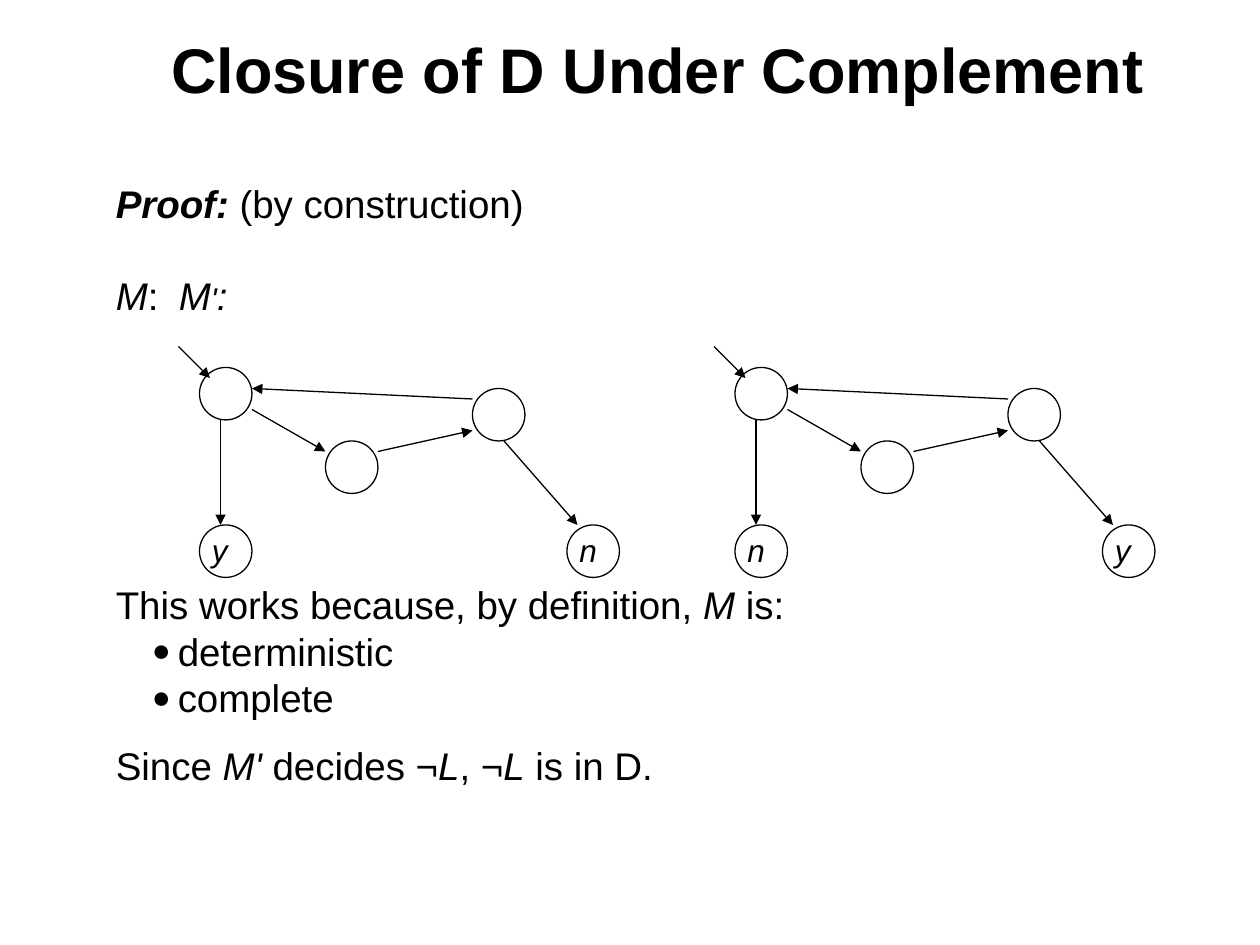
from pptx import Presentation
from pptx.dml.color import RGBColor
from pptx.enum.shapes import MSO_CONNECTOR as CONNECTOR, MSO_SHAPE as SHAPE
from pptx.enum.text import MSO_ANCHOR as ANCHOR, MSO_AUTO_SIZE as AUTO, PP_ALIGN as ALIGN
from pptx.oxml.ns import qn
from pptx.util import Cm, Pt
from lxml.etree import SubElement


def color(target, hex_value):
    target.rgb = RGBColor.from_string(hex_value)


def grid(steps):
    """The automata sit on a grid of twelve steps to the inch."""
    return Cm(steps * 2.54 / 12)


INK = "000000"
prs = Presentation()
prs.slide_width, prs.slide_height = Cm(25.4), Cm(19.05)
slide = prs.slides.add_slide(prs.slide_layouts[1])

# Title
title = slide.shapes.title
title.left, title.top, title.width, title.height = Cm(1.47), Cm(0.2), Cm(23.93), Cm(2.34)
heading = title.text_frame
heading.text = "Closure of D Under Complement"
heading.auto_size = AUTO.NONE
heading.vertical_anchor = ANCHOR.MIDDLE
heading.margin_right = Cm(0.61)
heading_line = heading.paragraphs[0]
heading_line.alignment = ALIGN.CENTER
heading_line.font.name, heading_line.font.size, heading_line.font.bold = "Arial", Pt(36), True
color(heading_line.font.color, INK)

# Proof: space before, bulleted, runs of (text, style)
proof_lines = [
    (0, False, [("Proof:", "bi"), (" (by construction)", "")]),
    (26, False, [("M", "i"), (":\t", ""), ("M", "i"), ("'", "is"), (":", "i")]),
    (150.5, False, [("This works because, by definition, ", ""), ("M", "i"), (" is:", "")]),
    (0, True, [("deterministic", "")]),
    (0, True, [("complete", "")]),
    (12, False, [("Since ", ""), ("M'", "i"), (" decides ¬", ""), ("L", "i"),
                 (", ¬", ""), ("L", "i"), (" is in D.", "")]),
]
body = slide.placeholders[1]
body.left, body.top, body.width, body.height = Cm(2.08), Cm(2.54), Cm(22.05), Cm(13.46)
proof = body.text_frame
proof.auto_size = AUTO.NONE
proof.margin_top = Cm(1.08)
for number, (space, bulleted, runs) in enumerate(proof_lines):
    line = proof.add_paragraph() if number else proof.paragraphs[0]
    line.space_before, line.line_spacing = Pt(space), Pt(26.5)
    line.font.name, line.font.size = "Arial", Pt(22)
    color(line.font.color, INK)
    for text, style in runs:
        run = line.add_run()
        run.text = text
        if "b" in style:
            run.font.bold = True
        if "i" in style:
            run.font.italic = True
        if "s" in style:
            run.font.size = Pt(18)
    props = line._p.get_or_add_pPr()
    props.set("marL", str(Cm(1.25) if bulleted else 0))
    props.set("indent", str(Cm(-0.52) if bulleted else 0))
    if bulleted:
        SubElement(props, qn("a:buSzPct"), val="82000")
        SubElement(props, qn("a:buFont"), typeface="Arial")
        SubElement(props, qn("a:buChar"), char="●")
    else:
        SubElement(props, qn("a:buNone"))
    if any("\t" in text for text, _ in runs):
        tabs = SubElement(props, qn("a:tabLst"))
        SubElement(tabs, qn("a:tab"), pos=str(Cm(11.13)), algn="l")
    default_font = props.find(qn("a:defRPr"))
    if default_font is not None:
        props.append(default_font)

# Automata M and M', the second with its answers swapped
left_answer, right_answer = (19, 50), (54, 50)
states = [left_answer, right_answer, (31, 42), (19, 35), (45, 37)]
transitions = [
    (17, 33, 20, 36), (21, 40, 21, 50), (24, 39, 31, 43),
    (36, 43, 45, 41), (48, 42, 55, 50), (45, 38, 24, 37),
]
for shift, answers in ((0, "yn"), (51, "ny")):
    for x, y in states:
        state = slide.shapes.add_shape(SHAPE.OVAL, grid(x + shift), grid(y), grid(5), grid(5))
        state.shadow.inherit = False
        state.fill.background()
        color(state.line.color, INK)
        state.line.width = Pt(0.75)

    for x1, y1, x2, y2 in transitions:
        arrow = slide.shapes.add_connector(
            CONNECTOR.STRAIGHT, grid(x1 + shift), grid(y1), grid(x2 + shift), grid(y2))
        color(arrow.line.color, INK)
        arrow.line.width = Pt(0.75)
        SubElement(arrow.line._get_or_add_ln(), qn("a:tailEnd"), type="triangle")
        SubElement(arrow._element.spPr, qn("a:effectLst"))

    for answer, (x, y) in zip(answers, (left_answer, right_answer)):
        label = slide.shapes.add_textbox(grid(x + shift), grid(y), grid(5), Cm(1.02))
        label.text_frame.word_wrap = True
        label.text_frame.text = answer
        letter = label.text_frame.paragraphs[0]
        letter.font.name, letter.font.size, letter.font.italic = "Arial", Pt(18), True
        color(letter.font.color, INK)

prs.save("out.pptx")
